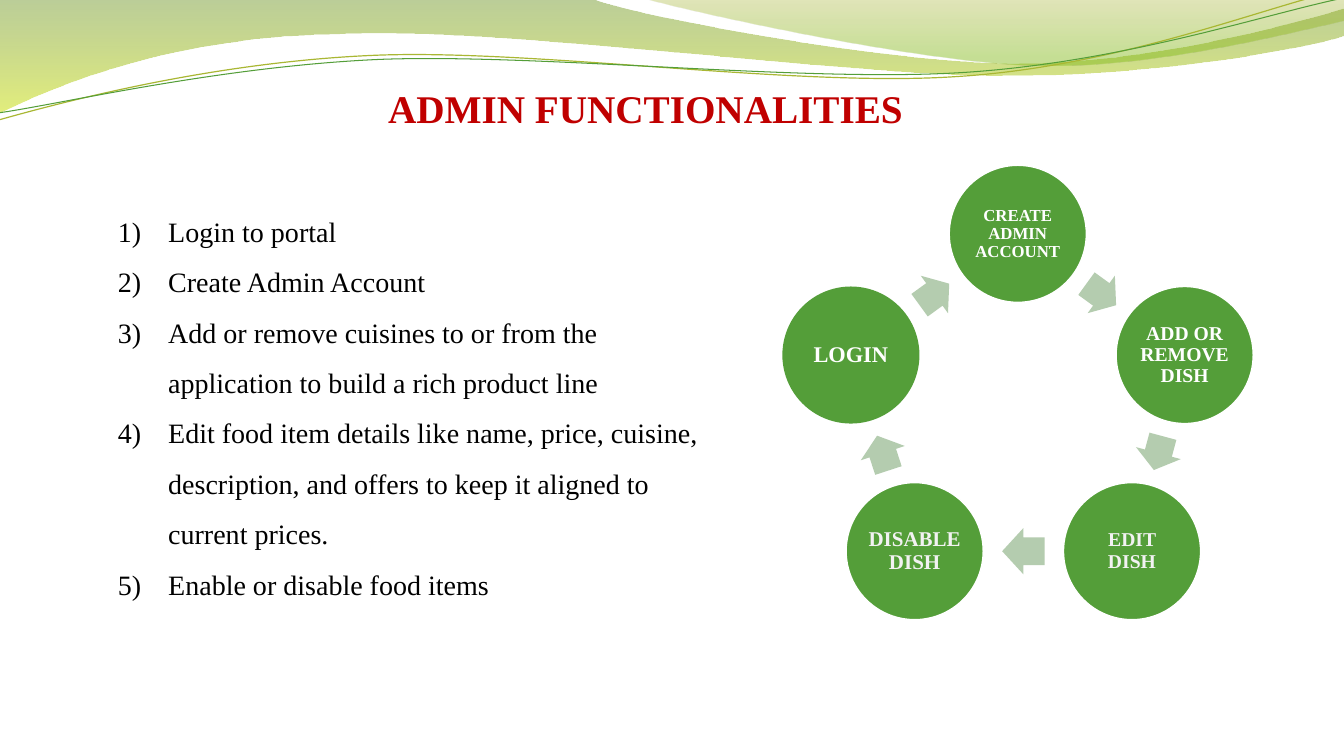
import math

import pptx
import pptx.dml.color
import pptx.enum.shapes
import pptx.enum.text
import pptx.oxml
import pptx.oxml.ns
import pptx.util
from pptx.util import Inches

RGBColor = pptx.dml.color.RGBColor
MSO_SHAPE = pptx.enum.shapes.MSO_SHAPE
PP_ALIGN = pptx.enum.text.PP_ALIGN
MSO_ANCHOR = pptx.enum.text.MSO_ANCHOR
MSO_AUTO_SIZE = pptx.enum.text.MSO_AUTO_SIZE
qn = pptx.oxml.ns.qn

WHITE = RGBColor(0xFF, 0xFF, 0xFF)
OFF_WHITE = RGBColor(0xF2, 0xF2, 0xF2)
BLACK = RGBColor(0, 0, 0)
RED = RGBColor(0xC0, 0, 0)
GREEN = RGBColor(0x54, 0x9E, 0x39)
PALE_GREEN = RGBColor(0xB4, 0xCC, 0xAF)
OLIVE = RGBColor(0xA9, 0xB7, 0x33)
MOSS = RGBColor(0x69, 0x92, 0x1C)
LIME = RGBColor(0xCC, 0xE1, 0x0F)
KHAKI = RGBColor(0x9B, 0xAA, 0x1A)
LEAF = RGBColor(0x81, 0xBA, 0x16)
FONT = "Times New Roman"

# Each outline: a start point, then (x, y) lines or six-number Bezier curves.
# Each fill: (position, colour, opacity in percent).
WAVE_FILLS = [
    ([(0, 0), (5.87, -0.01), (6.34, 0.17, 8.84, 0.63, 10.11, 0.63),
      (11.37, 0.63, 12.77, 0.26, 13.33, 0.09), (13.34, 0.36),
      (13.11, 0.44, 11.59, 0.76, 9.94, 0.75), (8.29, 0.75, 5.09, 0.28, 3.43, 0.34),
      (1.72, 0.36, 0.61, 0.83, -0.02, 1.13), (0, 0)],
     [(0, MOSS, 45), (1, LIME, 55)]),
    ([(6.38, -0.01), (6.79, 0.11, 9.09, 0.62, 10.25, 0.65),
      (11.4, 0.69, 12.82, 0.32, 13.33, 0.21), (13.33, 0), (6.38, -0.01)],
     [(0, KHAKI, 30), (0.8, LEAF, 45)]),
]
# Outline, middle of the wave, colour, line width
WAVE_LINES = [
    ([(-0.01, 1.19), (0.63, 1.01, 2.1, 0.62, 3.69, 0.55),
      (5.27, 0.48, 7.89, 0.87, 9.49, 0.76), (11.1, 0.66, 12.51, 0.08, 13.3, -0.1)],
     (6.65, 0.57), OLIVE, 0.85),
    ([(-0.01, 1.12), (0.62, 1.03, 2.18, 0.66, 3.77, 0.59),
      (5.37, 0.53, 7.96, 0.82, 9.55, 0.72), (11.14, 0.62, 12.55, 0.14, 13.33, -0.02)],
     (6.67, 0.59), GREEN, 0.75),
]
WAVE_TILT = -2.7
FUNCTIONS = [
    "Login to portal",
    "Create Admin Account",
    "Add or remove cuisines to or from the application to build a rich product line",
    "Edit food item details like name, price, cuisine, description, and offers "
    "to keep it aligned to current prices.",
    "Enable or disable food items",
]
# Label, text size, text colour, outlined, shift to the right
STEPS = [
    ("CREATE ADMIN ACCOUNT", 12, WHITE, True, 0),
    ("ADD OR REMOVE DISH", 14, WHITE, True, 0),
    ("EDIT DISH", 14, OFF_WHITE, True, 0.11),
    ("DISABLE DISH", 15, OFF_WHITE, True, 0),
    ("LOGIN", 16, WHITE, False, 0),
]


def add_span(para, text, size, color, bold=False):
    span = para.add_run()
    span.text = text
    span.font.name = FONT
    span.font.size = pptx.util.Pt(size)
    span.font.bold = bold
    span.font.color.rgb = color


def add_outline(page, left, top, outline, close, tilt=0, middle=(0, 0)):
    """Build a freeform, then merge the three points of each curve into a Bezier."""
    cos, sin = math.cos(math.radians(tilt)), math.sin(math.radians(tilt))
    points = []
    for segment in outline:
        for x, y in zip(segment[::2], segment[1::2]):
            dx, dy = x - middle[0], y - middle[1]
            points.append((Inches(left + middle[0] + dx * cos + dy * sin),
                           Inches(top + middle[1] + dy * cos - dx * sin)))
    builder = page.shapes.build_freeform(*points[0])
    builder.add_line_segments(points[1:], close=close)
    shape = builder.convert_to_shape()
    shape.shadow.inherit = False
    shape.rotation = tilt % 360

    lines = iter(list(shape.element.spPr.iter(qn("a:lnTo"))))
    for segment in outline[1:]:
        first = next(lines)
        if len(segment) == 6:
            curve = pptx.oxml.parse_xml(
                f'<a:cubicBezTo {pptx.oxml.ns.nsdecls("a")}/>')
            first.addprevious(curve)
            for line in (first, next(lines), next(lines)):
                curve.append(line[0])
                line.getparent().remove(line)
    return shape


def add_waves(page, left, top):
    for outline, stops in WAVE_FILLS:
        wave = add_outline(page, left, top, outline, True)
        wave.line.fill.background()
        wave.fill.gradient()
        wave.fill.gradient_angle = 270
        for stop, (position, color, _) in zip(wave.fill.gradient_stops, stops):
            stop.position = position
            stop.color.rgb = color
        for tint, (_, _, opacity) in zip(wave.element.spPr.iter(qn("a:srgbClr")), stops):
            tint.append(pptx.oxml.parse_xml(
                f'<a:alpha {pptx.oxml.ns.nsdecls("a")} val="{opacity * 1000}"/>'))
    for outline, middle, color, width in WAVE_LINES:
        wave = add_outline(page, left, top, outline, False, WAVE_TILT, middle)
        wave.fill.background()
        wave.line.color.rgb = color
        wave.line.width = pptx.util.Pt(width)


def add_title(page, left, top, width, height):
    box = page.shapes.add_textbox(Inches(left), Inches(top), Inches(width), Inches(height))
    box.text_frame.word_wrap = False
    box.text_frame.auto_size = MSO_AUTO_SIZE.SHAPE_TO_FIT_TEXT
    para = box.text_frame.paragraphs[0]
    para.alignment = PP_ALIGN.CENTER
    add_span(para, "ADMIN FUNCTIONALITIES", 28, RED, bold=True)


def add_function_list(page, left, top, width, height):
    box = page.shapes.add_textbox(Inches(left), Inches(top), Inches(width), Inches(height))
    frame = box.text_frame
    frame.word_wrap = True
    frame.auto_size = MSO_AUTO_SIZE.SHAPE_TO_FIT_TEXT
    for index, text in enumerate(FUNCTIONS):
        para = frame.add_paragraph() if index else frame.paragraphs[0]
        para.line_spacing = 1.5
        properties = para._p.get_or_add_pPr()
        properties.set("marL", str(Inches(0.5)))
        properties.set("indent", str(Inches(-0.5)))
        properties.append(pptx.oxml.parse_xml(
            f'<a:buAutoNum {pptx.oxml.ns.nsdecls("a")} type="arabicParenR"/>'))
        add_span(para, text, 20, BLACK)


def add_centred(page, kind, x, y, width, height, color):
    shape = page.shapes.add_shape(kind, Inches(x - width / 2), Inches(y - height / 2),
                                  Inches(width), Inches(height))
    shape.shadow.inherit = False
    shape.fill.solid()
    shape.fill.fore_color.rgb = color
    shape.line.fill.background()
    return shape


def add_cycle(page, left, top, width, diameter=1.36):
    """Place the steps clockwise on a ring, with an arrow midway to each next one."""
    radius = (width - diameter) / 2 / math.sin(math.radians(72))
    center_x, center_y = left + width / 2, top + diameter / 2 + radius
    centers = []
    for index, (*_, shift) in enumerate(STEPS):
        angle = math.tau * index / len(STEPS)
        centers.append((center_x + radius * math.sin(angle) + shift,
                        center_y - radius * math.cos(angle)))

    for index, (label, size, color, outlined, _) in enumerate(STEPS):
        x, y = centers[index]
        circle = add_centred(page, MSO_SHAPE.OVAL, x, y, diameter, diameter, GREEN)
        if outlined:
            circle.line.color.rgb = WHITE
            circle.line.width = pptx.util.Pt(1)
        frame = circle.text_frame
        frame.word_wrap = True
        frame.vertical_anchor = MSO_ANCHOR.MIDDLE
        frame.margin_left = frame.margin_right = Inches(0.02)
        frame.margin_top = frame.margin_bottom = Inches(0.02)
        para = frame.paragraphs[0]
        para.alignment = PP_ALIGN.CENTER
        para.line_spacing = 0.9
        add_span(para, label, size, color, bold=True)

        next_x, next_y = centers[(index + 1) % len(STEPS)]
        gap = math.hypot(next_x - x, next_y - y) - diameter
        arrow = add_centred(page, MSO_SHAPE.RIGHT_ARROW, (x + next_x) / 2, (y + next_y) / 2,
                            gap * 0.53, 0.46, PALE_GREEN)
        arrow.adjustments[0] = 0.6
        arrow.adjustments[1] = 0.5
        arrow.rotation = math.degrees(math.atan2(next_y - y, next_x - x)) % 360


def main():
    deck = pptx.Presentation()
    deck.slide_width, deck.slide_height = Inches(13.33), Inches(7.5)
    page = deck.slides.add_slide(deck.slide_layouts[6])
    add_waves(page, 0, 0)
    add_title(page, 3.72, 0.79, 5.36, 0.57)
    add_function_list(page, 1.07, 1.91, 6.1, 4.08)
    add_cycle(page, 7.76, 1.64, 4.67)
    deck.save("out.pptx")


if __name__ == "__main__":
    main()
